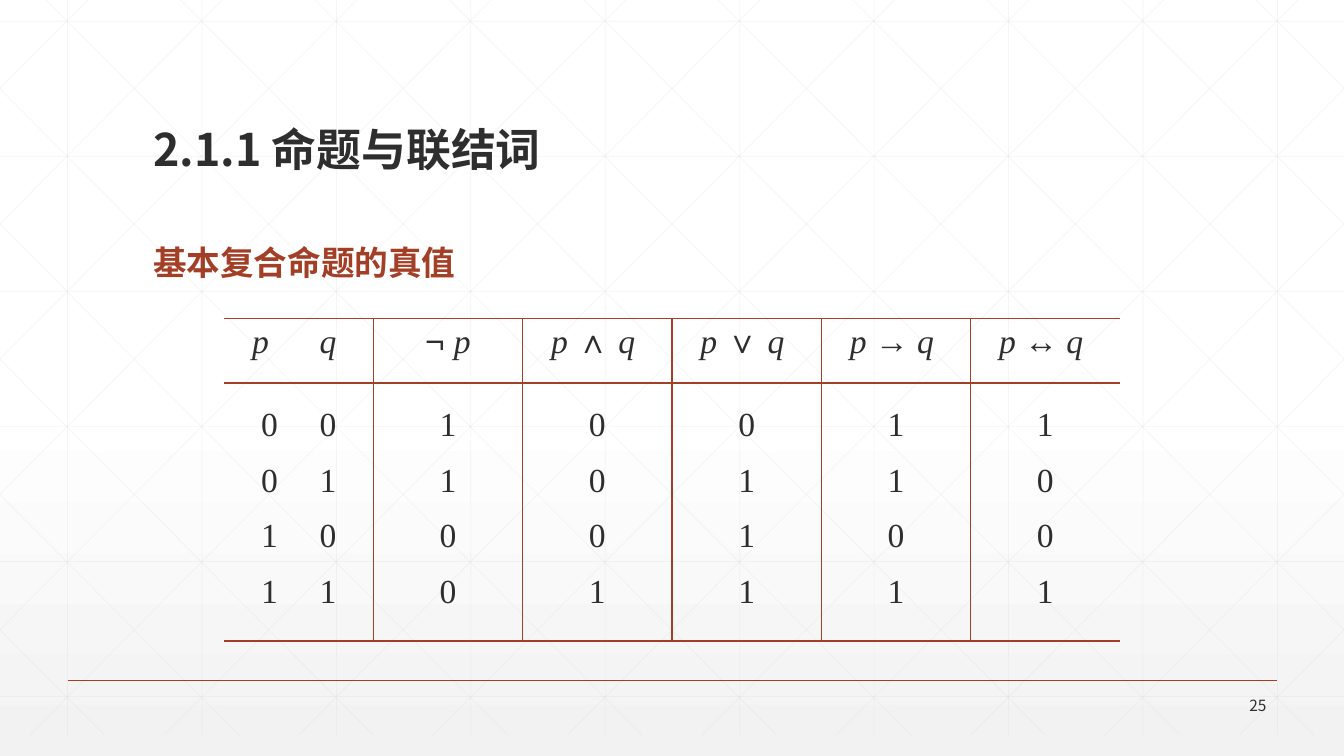
from lxml.etree import SubElement
from pptx import Presentation
from pptx.dml.color import RGBColor
from pptx.enum.shapes import MSO_CONNECTOR as Connector
from pptx.enum.text import MSO_ANCHOR as Anchor, PP_ALIGN as Align
from pptx.oxml.ns import qn
from pptx.util import Inches, Pt

WIDTH, TOP, BOTTOM = 13.33, -0.21, 7.29
SANS, SERIF, SYMBOL = "Noto Sans CJK SC", "Times New Roman", "Arial"
INK, RUST, GRID = "2D2E2D", "A43F27", "D9D9D9"


def color(value):
    return RGBColor.from_string(value)


class SlideBuilder:
    """Holds the shared style and the current slide."""

    base = {"size": Pt(24), "name": SERIF, "bold": False, "italic": False}

    def __init__(self, slide):
        self.slide = slide

    def background(self):
        fill = self.slide.background.fill
        fill.gradient()
        fill.gradient_angle = 270
        for stop, (position, shade) in zip(fill.gradient_stops, [(0.53, "FFFFFF"), (1, "F2F2F2")]):
            stop.position = position
            stop.color.rgb = color(shade)

    def line(self, x1, y1, x2, y2, shade=GRID, width=0.5, opacity=25):
        rule = self.slide.shapes.add_connector(
            Connector.STRAIGHT, Inches(x1), Inches(y1), Inches(x2), Inches(y2))
        rule.line.color.rgb = color(shade)
        rule.line.width = Pt(width)
        if opacity < 100:
            for tint in rule.element.xpath(".//a:srgbClr"):
                SubElement(tint, qn("a:alpha"), val=str(opacity * 1000))
        SubElement(rule.element.spPr, qn("a:effectLst"))

    def run(self, paragraph, text, shade=INK, **changes):
        piece = paragraph.add_run()
        piece.text = text
        style = {**self.base, **changes}
        for key, value in style.items():
            setattr(piece.font, key, value)
        piece.font.color.rgb = color(shade)
        SubElement(piece.font._element, qn("a:ea"), typeface=style["name"])

    def text(self, box, words, align=Align.LEFT, anchor=Anchor.TOP, spacing=0.9, **style):
        frame = self.slide.shapes.add_textbox(*map(Inches, box)).text_frame
        frame.word_wrap = True
        frame.vertical_anchor = anchor
        paragraph = frame.paragraphs[0]
        paragraph.alignment = align
        paragraph.line_spacing = spacing
        self.run(paragraph, words, name=SANS, **style)

    def borders(self, cell, first, last):
        props = cell._tc.get_or_add_tcPr()
        for side, hidden in {"L": first, "R": last, "T": False, "B": False}.items():
            edge = SubElement(props, qn(f"a:ln{side}"), w=str(Pt(1)))
            if hidden:
                SubElement(edge, qn("a:noFill"))
            else:
                SubElement(SubElement(edge, qn("a:solidFill")), qn("a:srgbClr"), val=RUST)
        cell.fill.background()

    def cell(self, cell, lines, spacing=1.0, inset=None, tab=None):
        frame = cell.text_frame
        if tab:
            cell.margin_left = Inches(inset)
        for index, pieces in enumerate(lines):
            paragraph = frame.add_paragraph() if index else frame.paragraphs[0]
            paragraph.alignment = Align.LEFT if tab else Align.CENTER
            paragraph.line_spacing = spacing
            if tab:
                stops = SubElement(paragraph._p.get_or_add_pPr(), qn("a:tabLst"))
                SubElement(stops, qn("a:tab"), pos=str(Inches(tab)), algn="l")
            for words, style in pieces:
                self.run(paragraph, words, **style)

    def truth_table(self, box, row_heights, headings, values):
        count = len(headings)
        table = self.slide.shapes.add_table(2, count, *map(Inches, box)).table
        table.first_row = table.horz_banding = False
        for row, height in zip(table.rows, row_heights):
            row.height = Inches(height)
        for index, (heading, column) in enumerate(zip(headings, values)):
            head, body = table.cell(0, index), table.cell(1, index)
            for part in (head, body):
                self.borders(part, index == 0, index == count - 1)
            digits = [[(value, {})] for value in column]
            pair = index == 0
            self.cell(head, [heading], inset=0.28, tab=0.67 if pair else None)
            self.cell(body, digits, 1.5, inset=0.37, tab=0.58 if pair else None)


def main():
    deck = Presentation()
    deck.slide_width, deck.slide_height = Inches(WIDTH), Inches(7.5)
    page = SlideBuilder(deck.slides.add_slide(deck.slide_layouts[6]))
    page.background()

    # Faint background grid
    step = 4 / 3
    for i in range(10):
        x = 0.67 + i * step
        page.line(x, TOP, x, BOTTOM)
    for i in range(6):
        y = 0.21 + i * 1.34
        page.line(0, y, WIDTH, y)

    # Diagonals, cut at the slide edges, each with its mirror image
    slope = 7.5 / 7.45
    for i in range(-5, 10):
        start = 0.25 + i * step
        left, right = max(start, 0), min(start + 7.45, WIDTH)
        y1, y2 = (TOP + (x - start) * slope for x in (left, right))
        page.line(left, y1, right, y2)
        page.line(WIDTH - left, y1, WIDTH - right, y2)

    # Footer
    page.line(0.67, 6.75, 12.67, 6.75, RUST, 1, 100)
    page.text((11.66, 6.88, 1, 0.24), "25", Align.RIGHT, Anchor.MIDDLE, 1.0, size=Pt(11))

    # Headings
    page.text((1.42, 2.4, 10.5, 0.55), "基本复合命题的真值", shade=RUST, bold=True)
    page.text((1.42, 0.55, 10.5, 1.25), "2.1.1 命题与联结词", anchor=Anchor.BOTTOM,
              size=Pt(32), bold=True)

    # Truth table
    italic = {"italic": True}
    headings = [[("p\tq", italic)], [("¬ ", {"name": SYMBOL}), ("p", italic)]]
    headings += [[("p ", italic), (f"{sign} ", {}), ("q ", italic)] for sign in "∧∨→↔"]
    values = [["0\t0", "0\t1", "1\t0", "1\t1"], "1100", "0001", "0111", "1101", "1001"]
    page.truth_table((2.22, 3.16, 8.89, 3.2), (0.64, 2.56), headings, values)

    deck.save("out.pptx")


if __name__ == "__main__":
    main()
